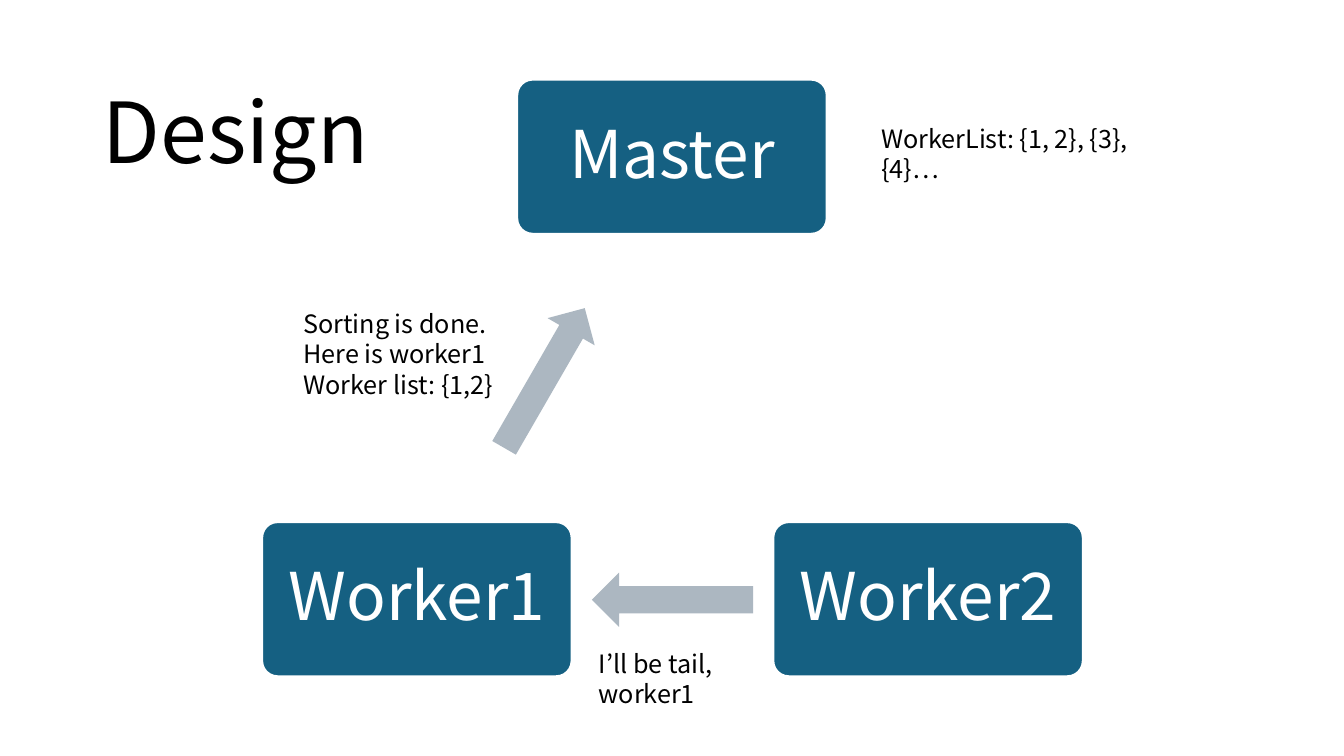
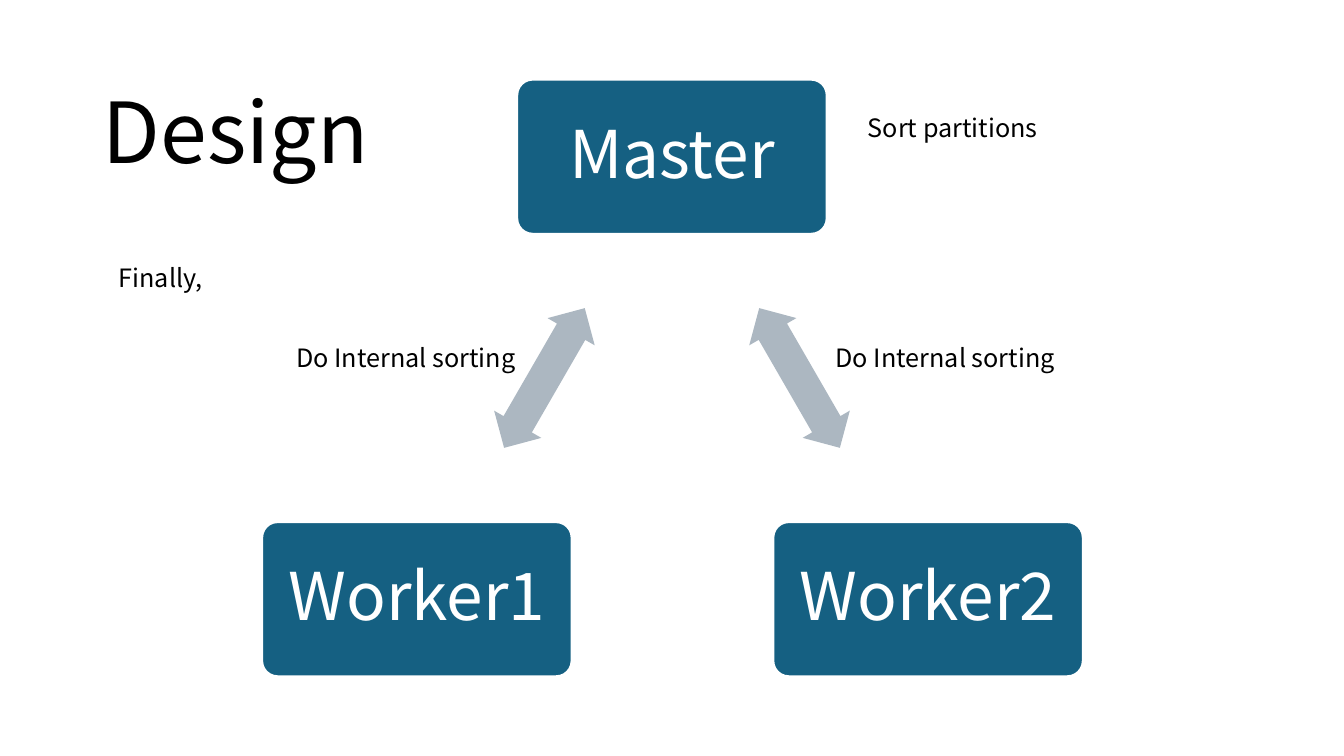
from pptx import Presentation
from pptx.dml.color import RGBColor
from pptx.enum.shapes import MSO_SHAPE
from pptx.enum.text import MSO_ANCHOR, MSO_AUTO_SIZE, PP_ALIGN
from pptx.util import Pt

ROUNDED = MSO_SHAPE.ROUNDED_RECTANGLE
ONE_WAY = MSO_SHAPE.RIGHT_ARROW
TWO_WAY = MSO_SHAPE.LEFT_RIGHT_ARROW
MIDDLE, BOTTOM = MSO_ANCHOR.MIDDLE, MSO_ANCHOR.BOTTOM
LEFT, CENTER = PP_ALIGN.LEFT, PP_ALIGN.CENTER
NO_FIT, GROW = MSO_AUTO_SIZE.NONE, MSO_AUTO_SIZE.SHAPE_TO_FIT_TEXT

BLUE = RGBColor(0x15, 0x60, 0x82)
GRAY = RGBColor(0xAC, 0xB7, 0xC1)
WHITE = RGBColor(0xFF, 0xFF, 0xFF)
BLACK = RGBColor(0x00, 0x00, 0x00)
FONT = "Noto Sans CJK KR"

EMU_PER_PX = 9144
SLIDE_WIDTH, SLIDE_HEIGHT = 1333, 750
NODE_WIDTH, NODE_HEIGHT = 307, 153
ARROW_WIDTH, ARROW_HEIGHT = 160, 54
NODES = {"Master": (513, 79), "Worker1": (260, 518), "Worker2": (767, 518)}
LEFT_EDGE = (460, 348, 300)
RIGHT_EDGE = (713, 348, 60)
BOTTOM_EDGE = (587, 568, 180)


def px(*lengths):
    return [length * EMU_PER_PX for length in lengths]


class DesignDeck:
    def __init__(self):
        self.deck = Presentation()
        self.deck.slide_width, self.deck.slide_height = px(SLIDE_WIDTH, SLIDE_HEIGHT)
        self.page = None

    def set_text(self, frame, text, size, color, align=LEFT, spacing=1.0):
        frame.text = text
        frame.word_wrap = True
        for para in frame.paragraphs:
            para.alignment = align
            para.line_spacing = spacing
            for span in para.runs:
                span.font.name = FONT
                span.font.size = Pt(size)
                span.font.color.rgb = color

    def start_page(self, title):
        self.page = self.deck.slides.add_slide(self.deck.slide_layouts[5])
        box = self.page.shapes.title
        box.left, box.top, box.width, box.height = px(92, 40, 1150, 145)
        frame = box.text_frame
        frame.vertical_anchor = BOTTOM
        frame.auto_size = NO_FIT
        self.set_text(frame, title, 60, BLACK, spacing=0.9)
        for name, (left, top) in NODES.items():
            self.node(name, left, top)

    def shape(self, kind, left, top, width, height, fill):
        shape = self.page.shapes.add_shape(kind, *px(left, top, width, height))
        shape.shadow.inherit = False
        shape.fill.solid()
        shape.fill.fore_color.rgb = fill
        return shape

    def node(self, name, left, top):
        box = self.shape(ROUNDED, left, top, NODE_WIDTH, NODE_HEIGHT, BLUE)
        box.adjustments[0] = 0.1
        box.line.color.rgb = WHITE
        box.line.width = Pt(1.5)
        frame = box.text_frame
        frame.margin_left, frame.margin_right = px(20, 20)
        frame.margin_top, frame.margin_bottom = px(20, 20)
        frame.vertical_anchor = MIDDLE
        self.set_text(frame, name, 47, WHITE, CENTER, 0.9)

    def arrow(self, kind, left, top, rotation):
        arrow = self.shape(kind, left, top, ARROW_WIDTH, ARROW_HEIGHT, GRAY)
        arrow.line.fill.background()
        arrow.rotation = rotation
        if kind == TWO_WAY:
            arrow.adjustments[0] = 0.6

    def label(self, text, left, top, width, height=40):
        box = self.page.shapes.add_textbox(*px(left, top, width, height))
        box.text_frame.auto_size = GROW
        self.set_text(box.text_frame, text, 18, BLACK)


def main():
    design = DesignDeck()

    design.start_page("Design")
    design.arrow(ONE_WAY, *BOTTOM_EDGE)
    design.arrow(ONE_WAY, *LEFT_EDGE)
    design.label("WorkerList: {1, 2}, {3}, {4}…", 864, 117, 321)
    design.label("I’ll be tail,\nworker1", 584, 638, 170, 71)
    design.label("Sorting is done.\nHere is worker1\nWorker list: {1,2}", 291, 301, 279, 101)

    design.start_page("Design")
    design.arrow(TWO_WAY, *RIGHT_EDGE)
    design.arrow(TWO_WAY, *LEFT_EDGE)
    for left in (819, 284):
        design.label("Do Internal sorting", left, 335, 406)
    design.label("Finally,", 108, 255, 290)
    design.label("Sort partitions", 851, 107, 298)

    design.deck.save("out.pptx")


if __name__ == "__main__":
    main()
